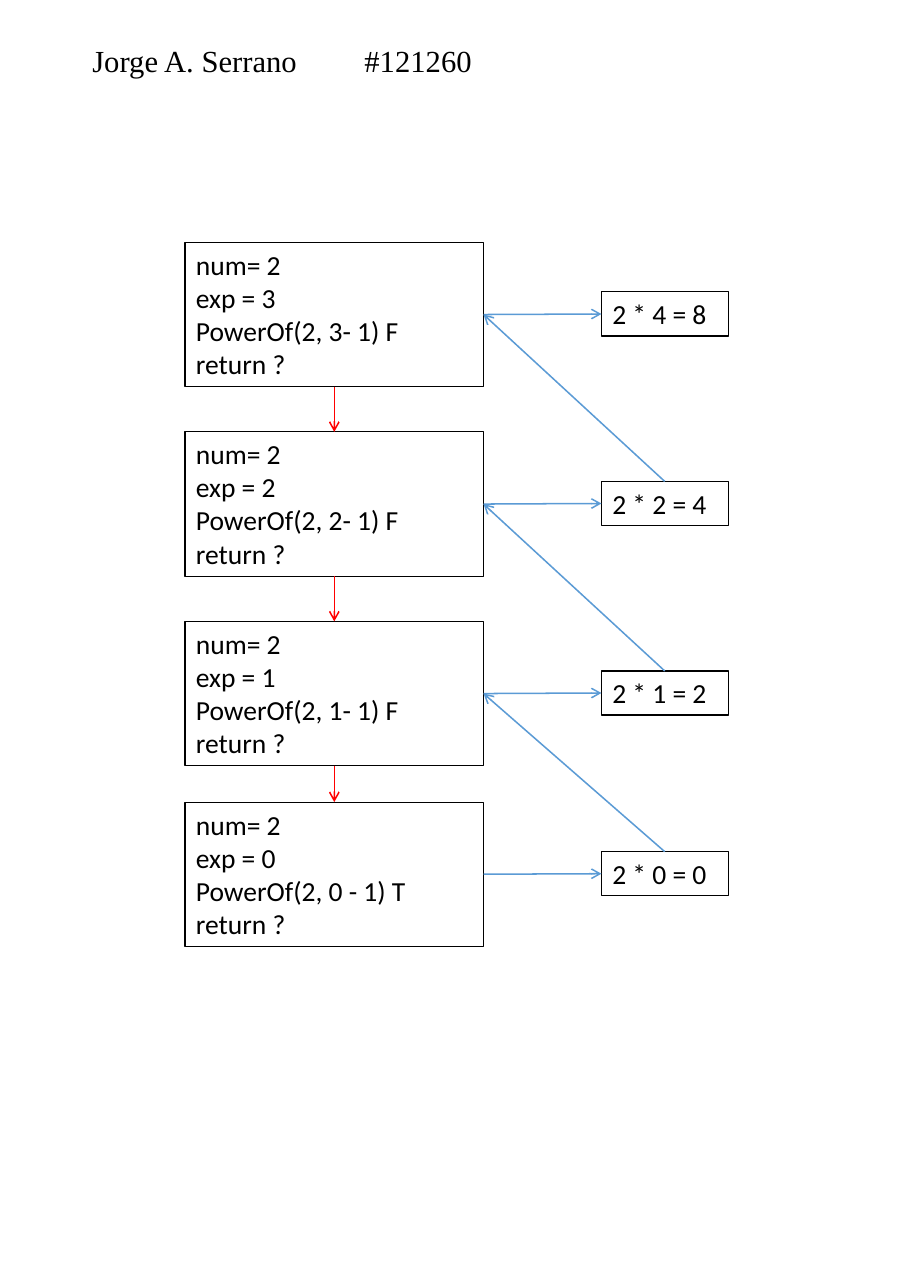
"""Draw the recursion trace of PowerOf(2, 3) as calls and returned products."""
import itertools

import lxml.etree
import pptx
import pptx.dml.color
import pptx.enum.shapes
import pptx.enum.text
import pptx.oxml
import pptx.oxml.ns
import pptx.util

PX = 9144
BLACK = pptx.dml.color.RGBColor(0x00, 0x00, 0x00)
RED = pptx.dml.color.RGBColor(0xFF, 0x00, 0x00)
BLUE = pptx.dml.color.RGBColor(0x5B, 0x9B, 0xD5)
TOP, LEFT, BOTTOM, RIGHT = range(4)

CALL_X, CALL_W, CALL_H = 168, 271, 131
RESULT_X, RESULT_W, RESULT_H = 546, 115, 40
STEPS = [
    (220, 3, "PowerOf(2, 3- 1) F", "2 * 4 = 8"),
    (392, 2, "PowerOf(2, 2- 1) F", "2 * 2 = 4"),
    (564, 1, "PowerOf(2, 1- 1) F", "2 * 1 = 2"),
    (728, 0, "PowerOf(2, 0 - 1) T", "2 * 0 = 0"),
]


def px(*lengths):
    return [pptx.util.Emu(n * PX) for n in lengths]


def write(tf, lines, size=18, font="Calibri", color=BLACK, spacing=None, before=None):
    tf.word_wrap = True
    for i, line in enumerate(lines):
        p = tf.add_paragraph() if i else tf.paragraphs[0]
        p.alignment = pptx.enum.text.PP_ALIGN.LEFT
        p.line_spacing = spacing
        p.space_before = before
        r = p.add_run()
        r.text = line
        r.font.size = pptx.util.Pt(size)
        r.font.name = font
        r.font.color.rgb = color


def add_header(s, text, tab):
    sp = s.shapes.add_textbox(*px(74, 37, 620, 47))
    write(sp.text_frame, [text], size=20, font="Times New Roman",
          spacing=0.9, before=pptx.util.Pt(8.2))
    qn = pptx.oxml.ns.qn
    pPr = sp.text_frame.paragraphs[0]._p.get_or_add_pPr()
    tabs = lxml.etree.SubElement(pPr, qn("a:tabLst"))
    lxml.etree.SubElement(tabs, qn("a:tab"), pos=str(tab * PX), algn="l")


def add_box(s, x, y, w, h, lines):
    sp = s.shapes.add_shape(pptx.enum.shapes.MSO_SHAPE.RECTANGLE, *px(x, y, w, h))
    sp.shadow.inherit = False
    sp.fill.background()
    sp.line.color.rgb = BLACK
    sp.line.width = pptx.util.Pt(0.75)
    write(sp.text_frame, lines)
    sp.text_frame.vertical_anchor = pptx.enum.text.MSO_ANCHOR.TOP
    sp.text_frame.auto_size = pptx.enum.text.MSO_AUTO_SIZE.SHAPE_TO_FIT_TEXT
    return sp


def add_arrow(s, start, start_side, end, end_side, color):
    line = s.shapes.add_connector(pptx.enum.shapes.MSO_CONNECTOR.STRAIGHT, 0, 0, 0, 0)
    line.begin_connect(start, start_side)
    line.end_connect(end, end_side)
    line.line.color.rgb = color
    line.line.width = pptx.util.Pt(1)
    qn = pptx.oxml.ns.qn
    spPr = line._element.spPr
    lxml.etree.SubElement(spPr.find(qn("a:ln")), qn("a:tailEnd"), type="arrow")
    lxml.etree.SubElement(spPr, qn("a:effectLst"))


def main():
    prs = pptx.Presentation()
    prs.slide_width, prs.slide_height = px(827, 1169)
    s = prs.slides.add_slide(prs.slide_layouts[6])
    add_header(s, "Jorge A. Serrano\t#121260", tab=247)

    calls, results = [], []
    for y, exp, call, product in STEPS:
        lines = ["num= 2", f"exp = {exp}", call, "return ?"]
        calls.append(add_box(s, CALL_X, y, CALL_W, CALL_H, lines))
        result_y = y + (CALL_H - RESULT_H) // 2
        results.append(add_box(s, RESULT_X, result_y, RESULT_W, RESULT_H, [product]))

    for upper, lower in itertools.pairwise(calls):
        add_arrow(s, upper, BOTTOM, lower, TOP, RED)
    for call, result in zip(calls, results):
        add_arrow(s, call, RIGHT, result, LEFT, BLUE)
    for call, result in zip(calls, results[1:]):
        add_arrow(s, result, TOP, call, RIGHT, BLUE)

    prs.save("out.pptx")


if __name__ == "__main__":
    main()
